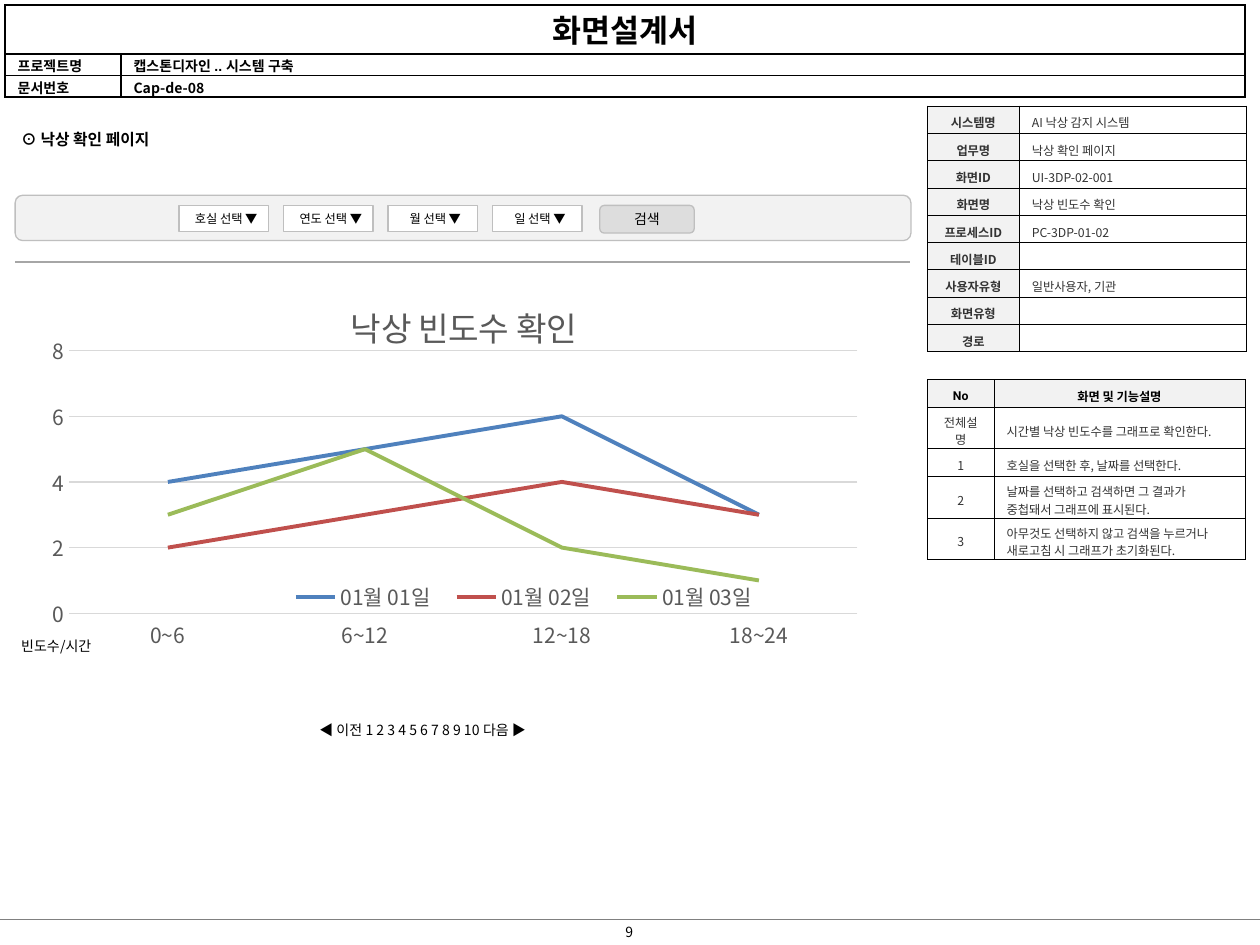
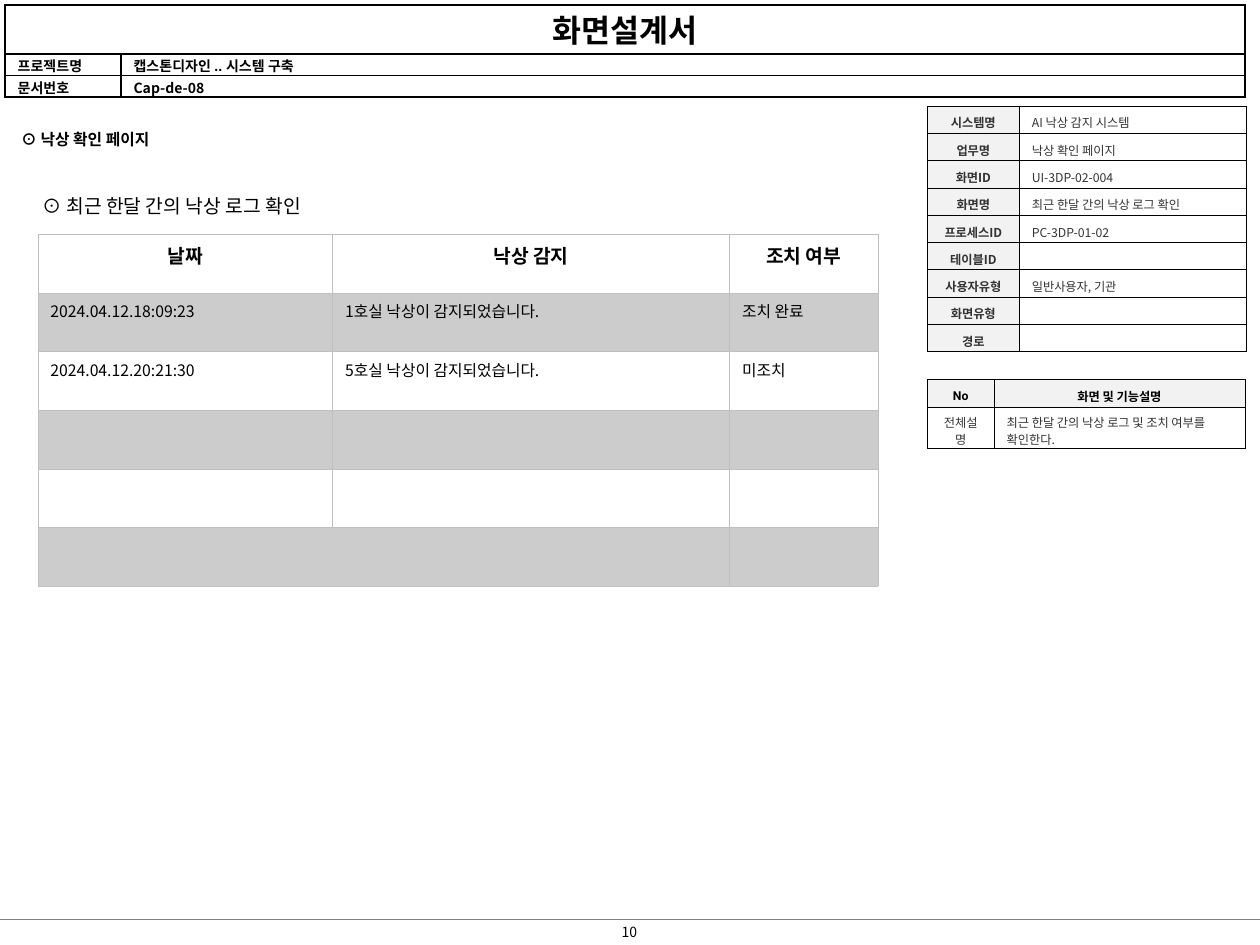
import lxml.etree
import pptx
import pptx.chart.data
import pptx.dml.color
import pptx.enum.chart
import pptx.enum.shapes
import pptx.enum.text
import pptx.oxml
import pptx.oxml.ns
import pptx.util

WIDE, HIGH = 10, 7.5
NOTO, ARIAL, ROBOTO = "Noto Sans CJK KR", "Arial", "Roboto"
COLORS = {
    "black": "000000", "white": "FFFFFF", "ink": "333333", "axis": "595959",
    "pale": "F2F2F2", "button": "DDDDDD", "edge": "BFBFBF", "band": "CCCCCC",
    "rule": "A6A6A6", "foot": "808080", "grid": "D9D9D9",
    "blue": "4F81BD", "red": "C0504D", "green": "9BBB59",
}

HEADER = [("화면설계서", ""), ("프로젝트명", "캡스톤디자인 .. 시스템 구축"),
          ("문서번호", "Cap-de-08")]
HEADING = "⊙ 낙상 확인 페이지"
LABELS = ["시스템명", "업무명", "화면ID", "화면명", "프로세스ID", "테이블ID",
          "사용자유형", "화면유형", "경로"]
NOTE_HEAD = ("No", "화면 및 기능설명")

CHART_PAGE = {
    "number": 9,
    "info": ["AI 낙상 감지 시스템", "낙상 확인 페이지", "UI-3DP-02-001",
             "낙상 빈도수 확인", "PC-3DP-01-02", "", "일반사용자, 기관", "", ""],
    "notes": [("전체설명", "시간별 낙상 빈도수를 그래프로 확인한다."),
              ("1", "호실을 선택한 후, 날짜를 선택한다."),
              ("2", "날짜를 선택하고 검색하면 그 결과가 중첩돼서 그래프에 표시된다."),
              ("3", "아무것도 선택하지 않고 검색을 누르거나 새로고침 시 그래프가 초기화된다.")],
    "heights": [0.22, 0.33, 0.22, 0.33, 0.33],
}
LOG_PAGE = {
    "number": 10,
    "info": ["AI 낙상 감지 시스템", "낙상 확인 페이지", "UI-3DP-02-004",
             "최근 한달 간의 낙상 로그 확인", "PC-3DP-01-02", "",
             "일반사용자, 기관", "", ""],
    "notes": [("전체설명", "최근 한달 간의 낙상 로그 및 조치 여부를 확인한다.")],
    "heights": [0.22, 0.33],
}

FILTERS = ["호실 선택 ▼", "연도 선택 ▼", "월 선택 ▼", "일 선택 ▼"]
SEARCH = "검색"
UNITS = "빈도수/시간"
PAGER = "◀ 이전 1 2 3 4 5 6 7 8 9 10 다음 ▶"
CHART_TITLE = "낙상 빈도수 확인"
TIMES = ["0~6", "6~12", "12~18", "18~24"]
SERIES = [("01월 01일", (4, 5, 6, 3), "blue"),
          ("01월 02일", (2, 3, 4, 3), "red"),
          ("01월 03일", (3, 5, 2, 1), "green")]

LOG_TITLE = "⊙ 최근 한달 간의 낙상 로그 확인"
LOG = [("날짜", "낙상 감지", "조치 여부"),
       ("2024.04.12.18:09:23", "1호실 낙상이 감지되었습니다.", "조치 완료"),
       ("2024.04.12.20:21:30", "5호실 낙상이 감지되었습니다.", "미조치"),
       ("", "", ""), ("", "", ""), ("", "", "")]

Inches, Pt = pptx.util.Inches, pptx.util.Pt
SHAPE = pptx.enum.shapes.MSO_SHAPE
MIDDLE = pptx.enum.text.MSO_ANCHOR.MIDDLE
TOP = pptx.enum.text.MSO_ANCHOR.TOP
ALIGN = pptx.enum.text.PP_ALIGN
qn = pptx.oxml.ns.qn


def rgb(name):
    return pptx.dml.color.RGBColor.from_string(COLORS[name])


def box(*lengths):
    return [Inches(length) for length in lengths]


def set_font(font, size, color="black", bold=False, name=NOTO):
    font.size, font.bold, font.name = Pt(size), bold, name
    font.color.rgb = rgb(color)
    lxml.etree.SubElement(font._rPr, qn("a:ea")).set("typeface", NOTO)


def write(frame, text, size, center=False, **style):
    para = frame.paragraphs[0]
    para.alignment = ALIGN.CENTER if center else ALIGN.LEFT
    set_font(para.font, size, **style)
    if text:
        para.add_run().text = text
    else:
        end = lxml.etree.SubElement(para._p, qn("a:endParaRPr"))
        end.set("sz", str(size * 100))


def pad(item, left, top, right, bottom):
    item.margin_left, item.margin_top = Inches(left), Inches(top)
    item.margin_right, item.margin_bottom = Inches(right), Inches(bottom)


def add_text(slide, place, text, size, wrap=False, **style):
    frame = slide.shapes.add_textbox(*box(*place)).text_frame
    frame.word_wrap = wrap
    write(frame, text, size, **style)


def add_panel(slide, kind, place, fill):
    shape = slide.shapes.add_shape(kind, *box(*place))
    shape.shadow.inherit = False
    shape.fill.solid()
    shape.fill.fore_color.rgb = rgb(fill)
    shape.line.color.rgb = rgb("edge")
    shape.line.width = Pt(0.75)
    frame = shape.text_frame
    frame.vertical_anchor = MIDDLE
    return frame


def add_rule(slide, left, right, top, color):
    line = slide.shapes.add_connector(
        pptx.enum.shapes.MSO_CONNECTOR.STRAIGHT, *box(left, top, right, top))
    line.line.color.rgb = rgb(color)
    line.line.width = Pt(0.75)
    lxml.etree.SubElement(line._element.spPr, qn("a:effectLst"))


def add_edges(cell, color, width):
    for side in ("lnL", "lnR", "lnT", "lnB"):
        cell._tc.get_or_add_tcPr().append(pptx.oxml.parse_xml(
            f'<a:{side} xmlns:a="{pptx.oxml.ns.nsdecls("a").split(chr(34))[1]}" '
            f'w="{Pt(width)}"><a:solidFill><a:srgbClr val="{COLORS[color]}"/>'
            f'</a:solidFill></a:{side}>'))


def add_grid(slide, left, top, cols, heights, rows, look, edge="black",
             width=0.25, pads=(0.1, 0.05, 0.1, 0), anchor=MIDDLE, merge=None):
    """Draw a table; look(row, col) gives the fill and the text style."""
    table = slide.shapes.add_table(
        len(rows), len(cols), *box(left, top, sum(cols), sum(heights))).table
    table.first_row = table.horz_banding = False
    for col, length in zip(table.columns, cols):
        col.width = Inches(length)
    for row, length in zip(table.rows, heights):
        row.height = Inches(length)
    if merge is not None:
        table.cell(merge, 0).merge(table.cell(merge, 1))
    for r, row in enumerate(rows):
        for c, text in enumerate(row):
            cell = table.cell(r, c)
            fill, style = look(r, c)
            add_edges(cell, edge, width)
            if fill:
                cell.fill.solid()
                cell.fill.fore_color.rgb = rgb(fill)
            else:
                cell.fill.background()
            pad(cell, *pads)
            cell.vertical_anchor = anchor
            write(cell.text_frame, text, **style)


def header_look(r, c):
    if r == 0:
        return "white", dict(size=18, bold=True, center=True)
    name = NOTO if (r, c) == (2, 1) else ARIAL
    return "white", dict(size=8, bold=True, name=name)


def info_look(r, c):
    label = c == 0
    return ("pale" if label else None,
            dict(size=7, color="ink", bold=label, center=label))


def note_look(r, c):
    if r == 0:
        return "pale", dict(size=7, bold=True, center=True,
                            name=(ROBOTO, ARIAL)[c])
    return None, dict(size=7, color="ink", center=c == 0)


def log_look(r, c):
    head = r == 0
    return ("band" if r % 2 else None,
            dict(size=11 if head else 9, bold=head, center=head))


def add_page(deck, page):
    """Add a slide with the header, side tables and footer that all share."""
    slide = deck.slides.add_slide(deck.slide_layouts[6])
    add_rule(slide, 0, WIDE, 7.3, "foot")
    add_text(slide, (4.72, 7.28, 0.55, 0.24), str(page["number"]), 8,
             wrap=True, center=True)
    add_grid(slide, 0.04, 0.04, [0.92, 8.92], [0.39, 0.17, 0.17], HEADER,
             header_look, width=1, pads=(0.1, 0.01, 0.1, 0), anchor=TOP, merge=0)
    add_text(slide, (0.07, 0.98, 1.32, 0.25), HEADING, 9, bold=True)
    count = len(LABELS)
    add_grid(slide, 7.36, 0.84, [0.73, 1.8], [1.95 / count] * count,
             list(zip(LABELS, page["info"])), info_look)
    add_grid(slide, 7.36, 3.01, [0.53, 1.99], page["heights"],
             [NOTE_HEAD] + page["notes"], note_look)
    return slide


def set_layout(parent, after, **shares):
    """Place a chart part by hand, in shares of the chart's size."""
    for old in parent.findall(qn("c:layout")):
        parent.remove(old)
    layout = lxml.etree.Element(qn("c:layout"))
    manual = lxml.etree.SubElement(layout, qn("c:manualLayout"))
    if after is None:
        lxml.etree.SubElement(manual, qn("c:layoutTarget")).set("val", "inner")
        parent.insert(0, layout)
    else:
        parent.find(qn(after)).addnext(layout)
    for mode in ("xMode", "yMode"):
        lxml.etree.SubElement(manual, qn("c:" + mode)).set("val", "edge")
    for key, share in shares.items():
        lxml.etree.SubElement(manual, qn("c:" + key)).set("val", str(share))


def add_chart(slide):
    kinds = pptx.enum.chart
    data = pptx.chart.data.CategoryChartData()
    data.categories = TIMES
    for name, values, _ in SERIES:
        data.add_series(name, values)
    chart = slide.shapes.add_chart(
        kinds.XL_CHART_TYPE.LINE, *box(0.3, 2.13, 6.77, 3.3), data).chart
    set_font(chart.font, 12, "axis")

    chart.has_title = True
    title = chart.chart_title
    write(title.text_frame, CHART_TITLE, 19, center=True, color="axis")
    set_layout(title._element, "c:tx", x=0.36, y=0.06)

    chart.has_legend = True
    legend = chart.legend
    legend.position = kinds.XL_LEGEND_POSITION.BOTTOM
    set_font(legend.font, 12, "axis")
    set_layout(legend._element, "c:legendPos", x=0.28, y=0.75, w=0.58, h=0.08)
    legend.include_in_layout = True

    plot = chart.plots[0]
    plot.vary_by_categories = False
    for line, (_, _, color) in zip(plot.series, SERIES):
        line.smooth = False
        line.marker.style = kinds.XL_MARKER_STYLE.NONE
        line.format.line.color.rgb = rgb(color)
        line.format.line.width = Pt(2.25)
    area = chart._chartSpace.chart.plotArea
    set_layout(area, None, x=0.037, y=0.198, w=0.924, h=0.632)

    values, times = chart.value_axis, chart.category_axis
    for axis in (values, times):
        axis.major_tick_mark = axis.minor_tick_mark = kinds.XL_TICK_MARK.NONE
        set_font(axis.tick_labels.font, 12, "axis")
    values.minimum_scale, values.maximum_scale, values.major_unit = 0, 8, 2
    values.format.line.fill.background()
    for part in (values.major_gridlines, times):
        part.format.line.color.rgb = rgb("grid")
        part.format.line.width = Pt(0.75)


def add_filters(slide):
    add_panel(slide, SHAPE.ROUNDED_RECTANGLE, (0.12, 1.55, 7.11, 0.36), "pale")
    for i, text in enumerate(FILTERS):
        frame = add_panel(slide, SHAPE.RECTANGLE,
                          (1.42 + 0.83 * i, 1.63, 0.71, 0.21), "white")
        pad(frame, 0.08, 0.05, 0.04, 0.05)
        write(frame, text, 7, center=True)
    frame = add_panel(slide, SHAPE.FLOWCHART_ALTERNATE_PROCESS,
                      (4.76, 1.63, 0.75, 0.22), "button")
    pad(frame, 0.1, 0, 0.1, 0)
    write(frame, SEARCH, 8, center=True, name=ARIAL)


def main():
    deck = pptx.Presentation()
    deck.slide_width, deck.slide_height = box(WIDE, HIGH)

    slide = add_page(deck, CHART_PAGE)
    add_filters(slide)
    add_rule(slide, 0.12, 7.22, 2.08, "rule")
    add_chart(slide)
    add_text(slide, (0.07, 5.01, 0.83, 0.24), UNITS, 8, wrap=True)
    add_text(slide, (2.32, 5.68, 2.07, 0.24), PAGER, 8, center=True)

    slide = add_page(deck, LOG_PAGE)
    add_text(slide, (0.24, 1.49, 2.51, 0.29), LOG_TITLE, 11)
    add_grid(slide, 0.3, 1.86, [2.34, 3.15, 1.18], [2.79 / len(LOG)] * len(LOG),
             LOG, log_look, edge="edge", pads=(0.1, 0.05, 0.1, 0.05),
             anchor=TOP, merge=len(LOG) - 1)
    deck.save("out.pptx")


if __name__ == "__main__":
    main()
